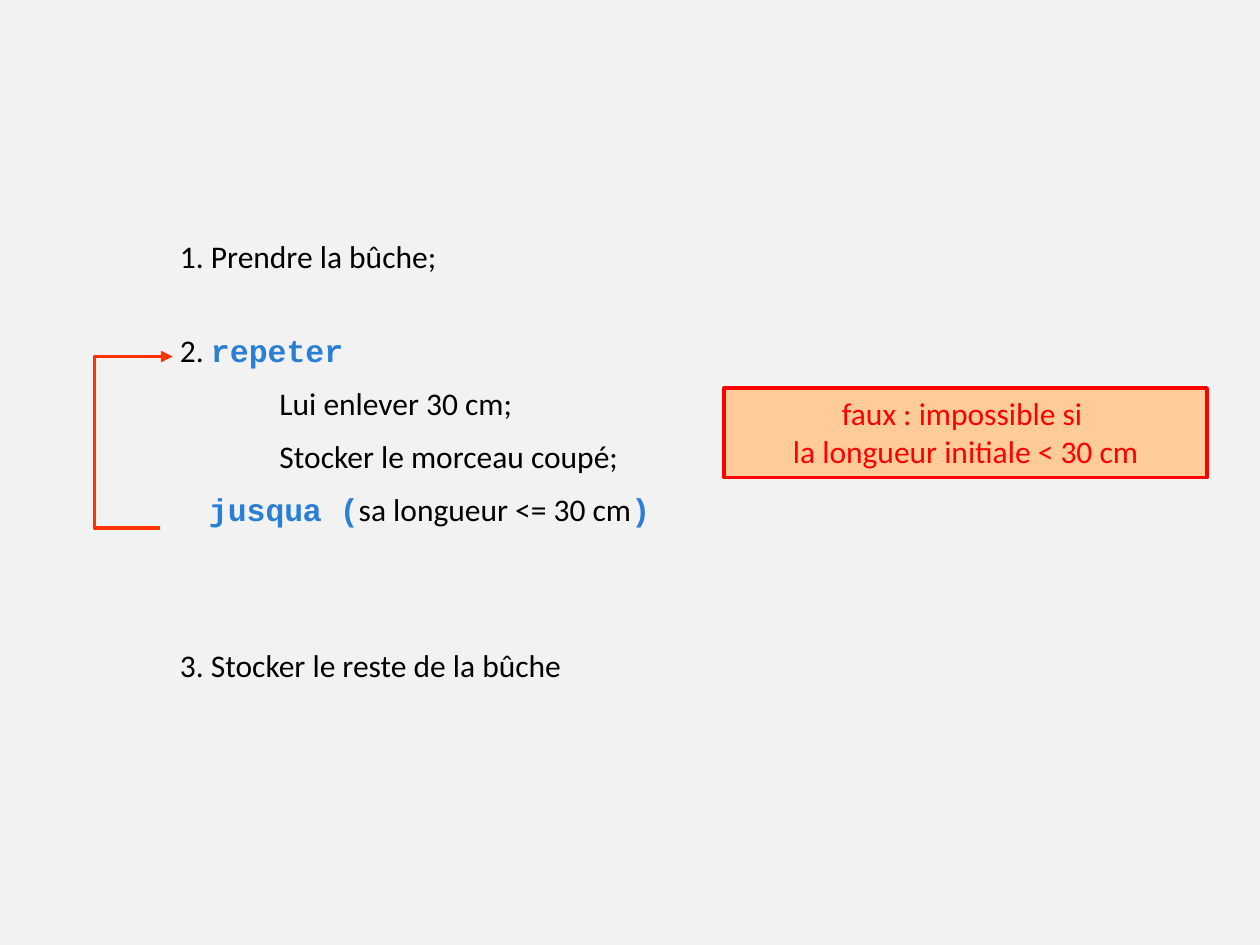
from lxml.etree import SubElement
from pptx import Presentation
from pptx.dml.color import RGBColor
from pptx.enum.shapes import MSO_SHAPE
from pptx.enum.text import MSO_ANCHOR, PP_ALIGN
from pptx.oxml.ns import qn
from pptx.util import Inches, Pt

COLORS = {
    "background": "F2F2F2",
    "text": "000000",
    "keyword": "297FD5",
    "loop": "FF3300",
    "warning": "FF0000",
    "warning_fill": "FFCC99",
}


def color(name):
    return RGBColor.from_string(COLORS[name])


class AlgorithmSlide:
    font_name = "Calibri"
    code_font = "Courier New"
    font_size = Pt(18)
    line_width = Pt(2.25)
    step_gap = Pt(8.6)

    def __init__(self, presentation):
        self.slide = presentation.slides.add_slide(presentation.slide_layouts[6])
        fill = self.slide.background.fill
        fill.solid()
        fill.fore_color.rgb = color("background")

    def style_font(self, font, color_name, name=None, bold=False):
        font.name = name or self.font_name
        font.size = self.font_size
        font.bold = bold
        font.color.rgb = color(color_name)

    def style_line(self, shape, color_name):
        shape.shadow.inherit = False
        shape.line.color.rgb = color(color_name)
        shape.line.width = self.line_width

    def steps(self, left, top, width, height, lines):
        box = self.slide.shapes.add_textbox(
            Inches(left), Inches(top), Inches(width), Inches(height))
        frame = box.text_frame
        frame.word_wrap = True
        for index, (indent, parts) in enumerate(lines):
            paragraph = frame.add_paragraph() if index else frame.paragraphs[0]
            if index:
                paragraph.space_before = self.step_gap
            if indent:
                paragraph._p.get_or_add_pPr().set("marL", str(Inches(indent)))
            self.style_font(paragraph.font, "text")
            for text, code_font in parts:
                run = paragraph.add_run()
                run.text = text
                if code_font:
                    self.style_font(run.font, "keyword", code_font, True)

    def loop_arrow(self, points):
        corners = [(Inches(x), Inches(y)) for x, y in points]
        builder = self.slide.shapes.build_freeform(*corners[0])
        builder.add_line_segments(corners[1:], close=False)
        arrow = builder.convert_to_shape()
        arrow.fill.background()
        self.style_line(arrow, "loop")
        SubElement(arrow.line._get_or_add_ln(), qn("a:tailEnd"), type="triangle")

    def warning(self, left, top, width, height, lines):
        box = self.slide.shapes.add_shape(
            MSO_SHAPE.RECTANGLE,
            Inches(left), Inches(top), Inches(width), Inches(height))
        box.fill.solid()
        box.fill.fore_color.rgb = color("warning_fill")
        self.style_line(box, "warning")
        frame = box.text_frame
        frame.word_wrap = True
        frame.vertical_anchor = MSO_ANCHOR.TOP
        frame.text = "\n".join(lines)
        for paragraph in frame.paragraphs:
            paragraph.alignment = PP_ALIGN.CENTER
            self.style_font(paragraph.font, "warning")


presentation = Presentation()
presentation.slide_width = Inches(10)
presentation.slide_height = Inches(7.5)

algorithm = AlgorithmSlide(presentation)
code = algorithm.code_font
algorithm.steps(1.33, 5.08, 4.33, 0.4, [(0, [("3. Stocker le reste de la bûche", None)])])
algorithm.steps(1.33, 2.58, 7.13, 1.77, [
    (0, [("2. ", None), ("repeter", code)]),
    (0.79, [("Lui enlever 30 cm;", None)]),
    (0.79, [("Stocker le morceau coupé;", None)]),
    (0.23, [("jusqu", code), ("a", "Arial"), (" (", code),
            ("sa longueur <= 30 cm", None), (")", code)]),
])
algorithm.loop_arrow([(1.27, 4.19), (0.75, 4.19), (0.75, 2.83), (1.37, 2.83)])
algorithm.warning(5.75, 3.08, 3.83, 0.71,
                  ["faux : impossible si ", "la longueur initiale < 30 cm"])
algorithm.steps(1.33, 1.83, 2.92, 0.4, [(0, [("1. Prendre la bûche;", None)])])

presentation.save("out.pptx")
